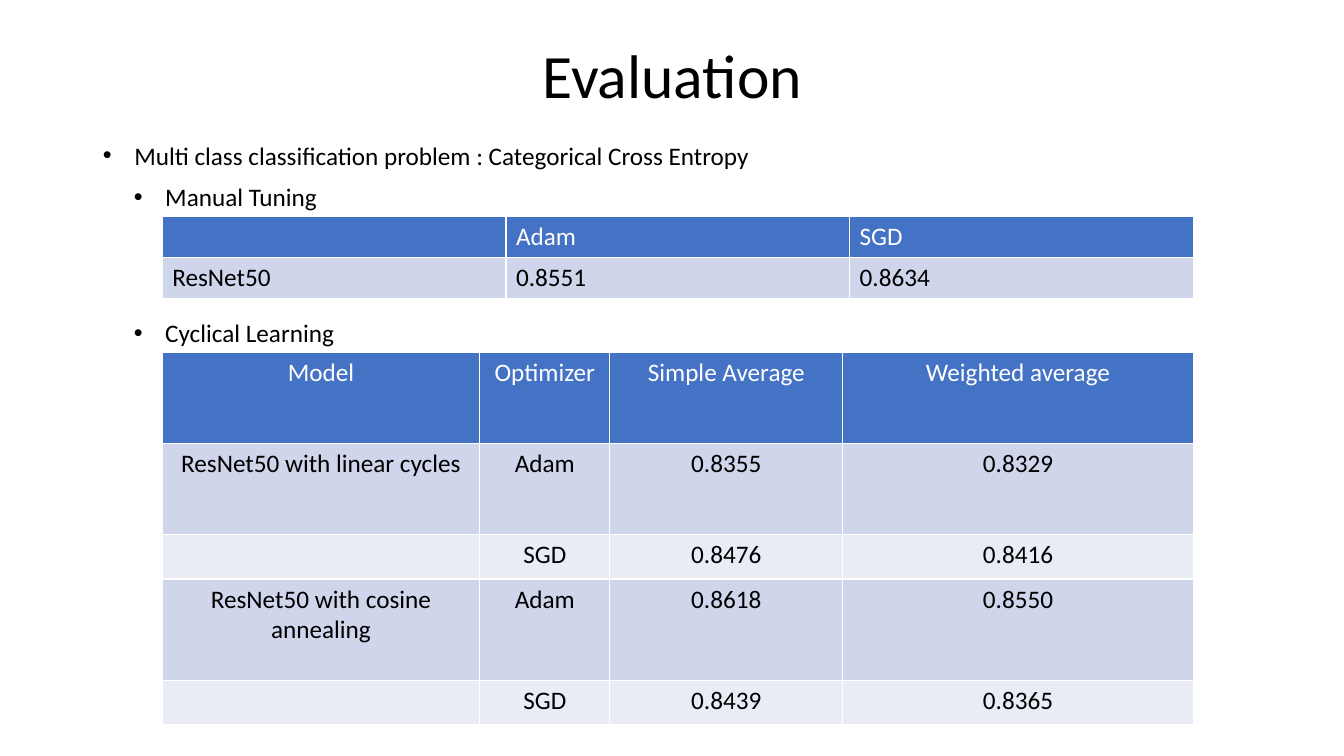
from lxml import etree
from pptx import Presentation
from pptx import util as u
from pptx.dml import color
from pptx.enum import text
from pptx.oxml import ns

BLACK = color.RGBColor(0x00, 0x00, 0x00)
WHITE = color.RGBColor(0xFF, 0xFF, 0xFF)
HEADER_BLUE = color.RGBColor(0x44, 0x72, 0xC4)
BAND_DARK = color.RGBColor(0xCF, 0xD5, 0xEA)
BAND_LIGHT = color.RGBColor(0xE9, 0xEB, 0xF5)

BULLET_INDENT = u.Cm(0.79)
TABLE_LEFT = 4.09

MANUAL_ROWS = [
    ["", "Adam", "SGD"],
    ["ResNet50", "0.8551", "0.8634"],
]
CYCLICAL_ROWS = [
    ["Model", "Optimizer", "Simple Average", "Weighted average"],
    ["ResNet50 with linear cycles", "Adam", "0.8355", "0.8329"],
    ["", "SGD", "0.8476", "0.8416"],
    ["ResNet50 with cosine annealing", "Adam", "0.8618", "0.8550"],
    ["", "SGD", "0.8439", "0.8365"],
]


def set_values(target, values):
    for name, value in values.items():
        setattr(target, name, value)


def write_run(paragraph, words, size, ink):
    run = paragraph.add_run()
    run.text = words
    set_values(run.font, {"name": "Calibri", "size": u.Pt(size), "bold": False})
    run.font.color.rgb = ink


def place_placeholder(shape, box):
    names = ("left", "top", "width", "height")
    set_values(shape, dict(zip(names, map(u.Cm, box))))
    set_values(shape.text_frame, {
        "word_wrap": True,
        "auto_size": text.MSO_AUTO_SIZE.NONE,
        "vertical_anchor": text.MSO_ANCHOR.TOP,
    })
    return shape.text_frame.paragraphs[0]


def fill_title(shape, box, words):
    paragraph = place_placeholder(shape, box)
    set_values(paragraph, {"alignment": text.PP_ALIGN.CENTER, "line_spacing": 0.9})
    write_run(paragraph, words, 44, BLACK)


def fill_bullet(shape, box, words):
    paragraph = place_placeholder(shape, box)
    properties = paragraph._p.get_or_add_pPr()
    properties.set("marL", str(BULLET_INDENT))
    properties.set("indent", str(-BULLET_INDENT))
    etree.SubElement(properties, ns.qn("a:buFont")).set("typeface", "Arial")
    etree.SubElement(properties, ns.qn("a:buChar")).set("char", "•")
    set_values(paragraph, {
        "alignment": text.PP_ALIGN.LEFT,
        "line_spacing": 1.0,
        "space_before": u.Pt(0),
    })
    write_run(paragraph, words, 18, BLACK)


def add_score_table(slide, left, top, widths, heights, rows, alignment):
    frame = slide.shapes.add_table(
        len(rows), len(widths), u.Cm(left), u.Cm(top),
        u.Cm(sum(widths)), u.Cm(sum(heights)))
    table = frame.table
    for column, width in zip(table.columns, widths):
        column.width = u.Cm(width)
    for row_index, (row, height, values) in enumerate(zip(table.rows, heights, rows)):
        row.height = u.Cm(height)
        band = BAND_DARK if row_index % 2 else BAND_LIGHT
        fill, ink = (band, BLACK) if row_index else (HEADER_BLUE, WHITE)
        for cell, words in zip(row.cells, values):
            cell.fill.solid()
            cell.fill.fore_color.rgb = fill
            paragraph = cell.text_frame.paragraphs[0]
            paragraph.alignment = alignment
            if words:
                write_run(paragraph, words, 18, ink)


def build_evaluation_slide(presentation):
    slide = presentation.slides.add_slide(presentation.slide_layouts[4])
    title, problem, manual, cyclical, *unused = slide.placeholders
    for shape in unused:
        shape.element.getparent().remove(shape.element)

    fill_title(title, (2.34, 1.02, 29.21, 3.68), "Evaluation")
    fill_bullet(problem, (2.34, 3.4, 17, 1.8),
                "Multi class classification problem : Categorical Cross Entropy")
    fill_bullet(manual, (3.12, 4.45, 5.23, 1.02), "Manual Tuning")
    fill_bullet(cyclical, (3.12, 7.87, 5.61, 1.02), "Cyclical Learning")

    add_score_table(slide, TABLE_LEFT, 5.46, [8.66] * 3, [1.03] * 2,
                    MANUAL_ROWS, text.PP_ALIGN.LEFT)
    add_score_table(slide, TABLE_LEFT, 8.89, [8, 3.28, 5.87, 8.83],
                    [2.29, 2.29, 1.12, 2.55, 1.12],
                    CYCLICAL_ROWS, text.PP_ALIGN.CENTER)


def main():
    presentation = Presentation()
    set_values(presentation, {"slide_width": u.Cm(33.87), "slide_height": u.Cm(19.05)})
    build_evaluation_slide(presentation)
    presentation.save("out.pptx")


if __name__ == "__main__":
    main()
